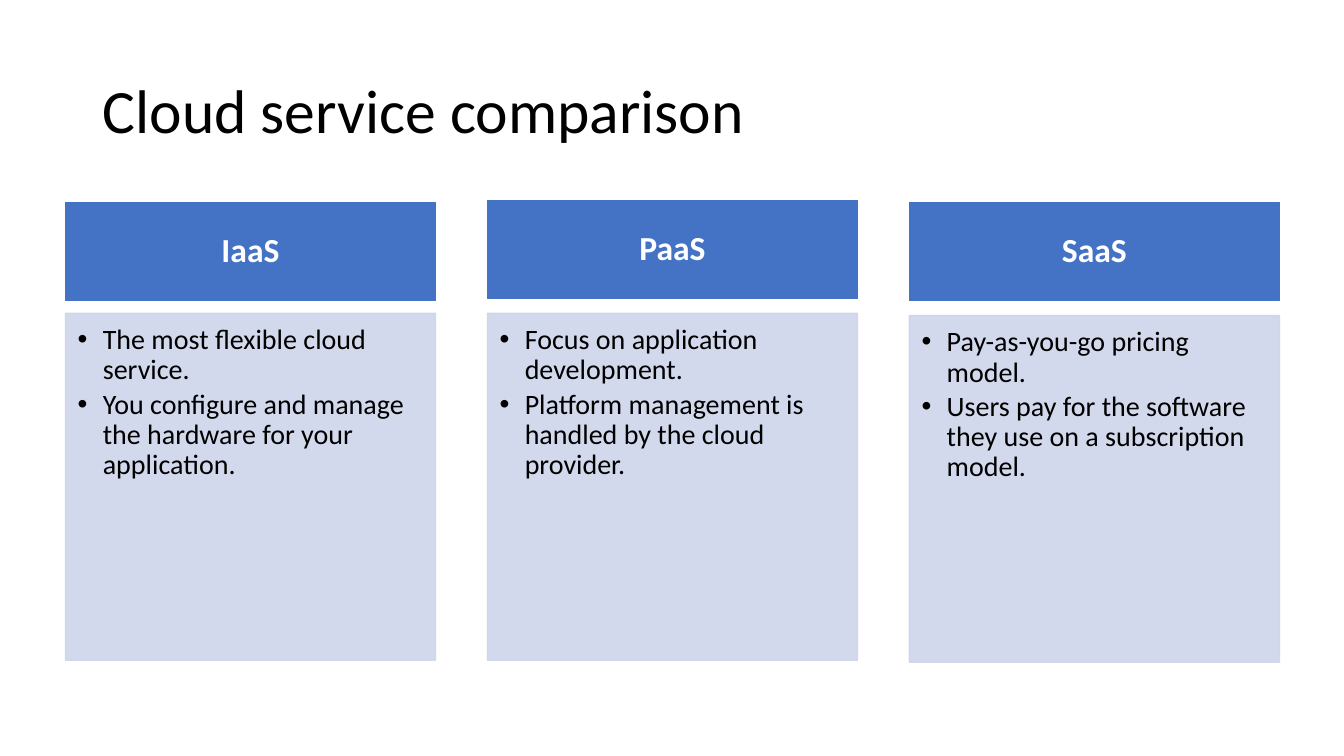
"""Build a slide that compares three cloud service models in columns."""
from dataclasses import dataclass

from lxml import etree
from pptx import Presentation
from pptx.dml import color
from pptx.enum import shapes, text
from pptx.oxml import ns
from pptx.util import Inches, Pt

COLORS = {"header": "4472C4", "panel": "CFD5EA", "ink": "000000", "light": "FFFFFF"}
FONT = "Calibri"
LEFT, PITCH, WIDTH = 0.65, 4.185, 3.67
HEADER_HEIGHT, PANEL_HEIGHT = 0.97, 3.44


@dataclass(frozen=True)
class Service:
    """A service model with the tops of its two boxes."""
    name: str
    points: tuple[str, ...]
    header_top: float
    panel_top: float


SERVICES = (
    Service("IaaS", ("The most flexible cloud service.",
                     "You configure and manage the hardware for your application."),
            2.01, 3.11),
    Service("PaaS", ("Focus on application development.",
                     "Platform management is handled by the cloud provider."),
            1.99, 3.11),
    Service("SaaS", ("Pay-as-you-go pricing model.",
                     "Users pay for the software they use on a subscription model."),
            2.01, 3.13),
)


def rgb(name: str) -> color.RGBColor:
    """Return the named colour."""
    return color.RGBColor.from_string(COLORS[name])


def write(para, words: str, size: float, ink: str, bold: bool = False) -> None:
    """Add one formatted run to a paragraph."""
    para.line_spacing = 0.9
    span = para.add_run()
    span.text = words
    span.font.name, span.font.size, span.font.bold = FONT, Pt(size), bold
    span.font.color.rgb = rgb(ink)


def add_bullet(para) -> None:
    """Give a paragraph a hanging round bullet."""
    settings = para._p.get_or_add_pPr()
    settings.set("marL", str(Inches(0.25)))
    settings.set("indent", str(-Inches(0.25)))
    etree.SubElement(settings, ns.qn("a:buFont"), typeface="Arial")
    etree.SubElement(settings, ns.qn("a:buChar"), char="•")


def add_box(group, left: float, top: float, height: float, fill: str,
            margins: tuple[float, float, float, float]):
    """Add a filled rectangle with the given text margins."""
    box = group.shapes.add_shape(shapes.MSO_SHAPE.RECTANGLE, Inches(left), Inches(top),
                                 Inches(WIDTH), Inches(height))
    box.shadow.inherit = False
    box.fill.solid()
    box.fill.fore_color.rgb = rgb(fill)
    box.line.color.rgb = rgb(fill)
    box.line.width = Pt(1)
    frame = box.text_frame
    frame.word_wrap = True
    frame.margin_left, frame.margin_top, frame.margin_right, frame.margin_bottom = (
        Inches(margin) for margin in margins)
    return box


def add_header(group, service: Service, left: float) -> None:
    """Add the box with the name of a service."""
    box = add_box(group, left, service.header_top, HEADER_HEIGHT, "header",
                  (0.19, 0.11, 0.19, 0.11))
    box.text_frame.vertical_anchor = text.MSO_ANCHOR.MIDDLE
    para = box.text_frame.paragraphs[0]
    para.alignment = text.PP_ALIGN.CENTER
    write(para, service.name, 24, "light", bold=True)


def add_panel(group, service: Service, left: float) -> None:
    """Add the translucent box with the points about a service."""
    box = add_box(group, left, service.panel_top, PANEL_HEIGHT, "panel",
                  (0.12, 0.12, 0.16, 0.17))
    for tint in box._element.spPr.iter(ns.qn("a:srgbClr")):
        etree.SubElement(tint, ns.qn("a:alpha"), val="90000")
    frame = box.text_frame
    frame.vertical_anchor = text.MSO_ANCHOR.TOP
    for index, point in enumerate(service.points):
        para = frame.add_paragraph() if index else frame.paragraphs[0]
        para.alignment = text.PP_ALIGN.LEFT
        para.space_after = Pt(3)
        write(para, point, 20, "ink")
        add_bullet(para)


def add_title(page, words: str) -> None:
    """Place and fill the title placeholder."""
    title = page.shapes.title
    title.left, title.top = Inches(0.92), Inches(0.4)
    title.width, title.height = Inches(11.5), Inches(1.45)
    title.text_frame.vertical_anchor = text.MSO_ANCHOR.MIDDLE
    para = title.text_frame.paragraphs[0]
    para.alignment = text.PP_ALIGN.LEFT
    write(para, words, 44, "ink")


def main() -> None:
    """Build and save the deck."""
    deck = Presentation()
    deck.slide_width, deck.slide_height = Inches(13.33), Inches(7.5)
    page = deck.slides.add_slide(deck.slide_layouts[5])
    add_title(page, "Cloud service comparison")
    group = page.shapes.add_group_shape()
    for column, service in enumerate(SERVICES):
        left = LEFT + column * PITCH
        add_header(group, service, left)
        add_panel(group, service, left)
    deck.save("out.pptx")


if __name__ == "__main__":
    main()
